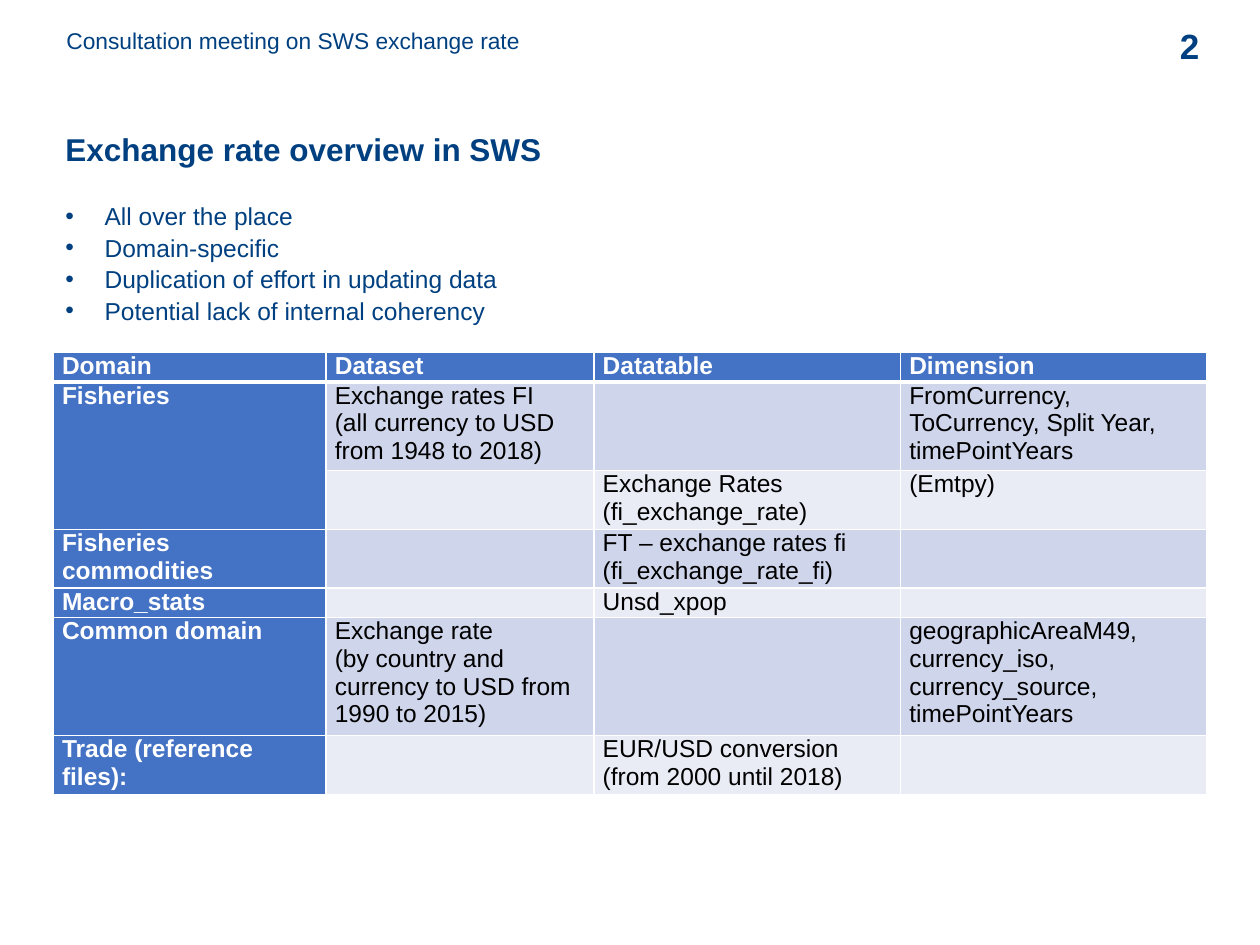
from lxml import etree
from pptx import Presentation
from pptx.dml.color import RGBColor
from pptx.enum import text
from pptx.oxml import ns
from pptx.util import Cm, Pt

NAVY = RGBColor(0x00, 0x40, 0x80)
BLUE = RGBColor(0x44, 0x72, 0xC4)
BAND_DARK = RGBColor(0xCF, 0xD5, 0xEA)
BAND_LIGHT = RGBColor(0xE9, 0xEB, 0xF5)
WHITE = RGBColor(0xFF, 0xFF, 0xFF)
BLACK = RGBColor(0x00, 0x00, 0x00)


def write(frame, content, size=14, color=NAVY, bold=False, align=None, spacing=None, before=None, bullet=False):
    frame.word_wrap = True
    for index, line in enumerate(content.split("\n")):
        paragraph = frame.paragraphs[0] if index == 0 else frame.add_paragraph()
        paragraph.alignment = align
        paragraph.line_spacing = spacing
        paragraph.space_before = before
        if bullet:
            properties = paragraph._p.get_or_add_pPr()
            properties.set("marL", str(Cm(0.79)))
            properties.set("indent", str(-Cm(0.79)))
            etree.SubElement(properties, ns.qn("a:buFont"), typeface="Arial")
            etree.SubElement(properties, ns.qn("a:buChar"), char="•")
        if not line:
            paragraph._p.get_or_add_endParaRPr().set("sz", str(size * 100))
            continue
        run = paragraph.add_run()
        run.text = line
        run.font.name = "Arial"
        run.font.size = Pt(size)
        run.font.bold = bold
        run.font.color.rgb = color


def add_borders(cell, bottom):
    properties = cell._tc.get_or_add_tcPr()
    for index, (side, width) in enumerate([("L", 1), ("R", 1), ("T", 1), ("B", bottom)]):
        line = etree.Element(ns.qn(f"a:ln{side}"), w=str(Pt(width)))
        fill = etree.SubElement(line, ns.qn("a:solidFill"))
        etree.SubElement(fill, ns.qn("a:srgbClr"), val=str(WHITE))
        properties.insert(index, line)


presentation = Presentation()
presentation.slide_width = Cm(25.4)
presentation.slide_height = Cm(19.05)
slide = presentation.slides.add_slide(presentation.slide_layouts[6])

header = slide.shapes.add_textbox(Cm(1.09), Cm(0.41), Cm(21.49), Cm(0.81))
write(header.text_frame, "Consultation meeting on SWS exchange rate", size=13)

number = slide.shapes.add_textbox(Cm(18.72), Cm(0.41), Cm(5.71), Cm(1.02))
number.text_frame.vertical_anchor = text.MSO_ANCHOR.MIDDLE
write(number.text_frame, "2", size=20, bold=True, align=text.PP_ALIGN.RIGHT)

title = slide.shapes.add_textbox(Cm(1.07), Cm(2.59), Cm(23.27), Cm(1.27))
write(title.text_frame, "Exchange rate overview in SWS", size=18, bold=True, spacing=0.9, before=Pt(10))

findings = slide.shapes.add_textbox(Cm(1.07), Cm(3.89), Cm(23.27), Cm(2.95))
write(
    findings.text_frame,
    "All over the place\nDomain-specific\nDuplication of effort in updating data\nPotential lack of internal coherency",
    spacing=1.07,
    bullet=True,
)

rows = [
    ("Domain", "Dataset", "Datatable", "Dimension"),
    ("Fisheries", "Exchange rates FI\n(all currency to USD from 1948 to 2018)", "",
     "FromCurrency, ToCurrency, Split Year, timePointYears"),
    ("", "", "Exchange Rates (fi_exchange_rate)", "(Emtpy)"),
    ("Fisheries commodities", "", "FT – exchange rates fi\n(fi_exchange_rate_fi)", ""),
    ("Macro_stats", "", "Unsd_xpop", ""),
    ("Common domain", "Exchange rate\n(by country and currency to USD from 1990 to 2015)", "",
     "geographicAreaM49, currency_iso, currency_source, timePointYears"),
    ("Trade (reference files):", "", "EUR/USD conversion (from 2000 until 2018)", ""),
]
column_widths = [5.5, 5.4, 6.18, 6.18]
line_counts = [1, 3, 2, 2, 1, 4, 2]
line_height = 0.59

frame = slide.shapes.add_table(
    len(rows), len(column_widths), Cm(1.07), Cm(7.11), Cm(sum(column_widths)), Cm(sum(line_counts) * line_height)
)
table = frame.table
for column, width in zip(table.columns, column_widths):
    column.width = Cm(width)
for row_index, values in enumerate(rows):
    table.rows[row_index].height = Cm(line_counts[row_index] * line_height)
    for column_index, value in enumerate(values):
        cell = table.cell(row_index, column_index)
        heading = row_index == 0 or column_index == 0
        band = BAND_DARK if row_index % 2 else BAND_LIGHT
        cell.margin_left = cell.margin_right = Cm(0.18)
        cell.margin_top = cell.margin_bottom = 0
        cell.fill.solid()
        cell.fill.fore_color.rgb = BLUE if heading else band
        add_borders(cell, bottom=3 if row_index == 0 else 1)
        write(cell.text_frame, value, color=WHITE if heading else BLACK, bold=heading)
table.cell(1, 0).merge(table.cell(2, 0))

presentation.save("out.pptx")
